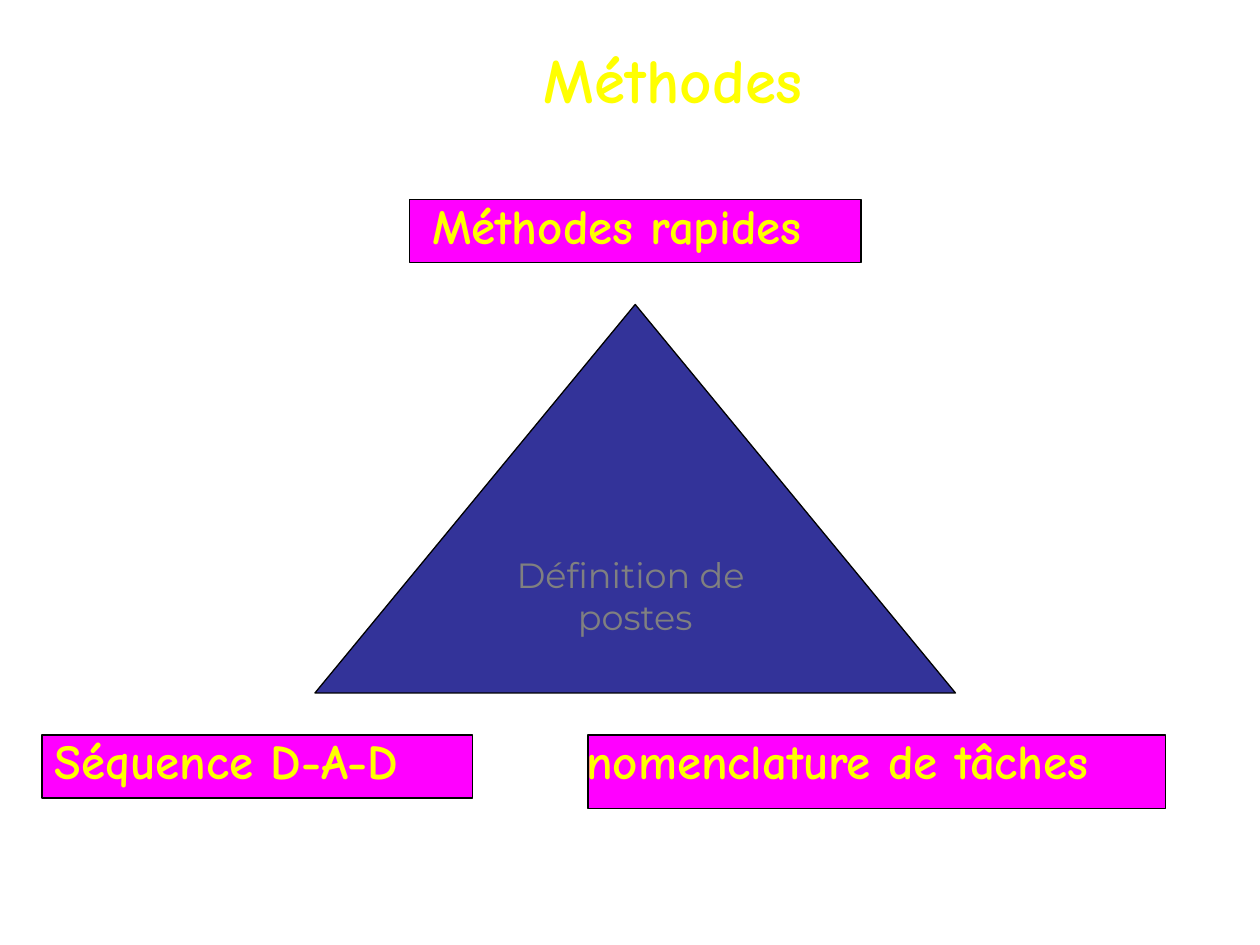
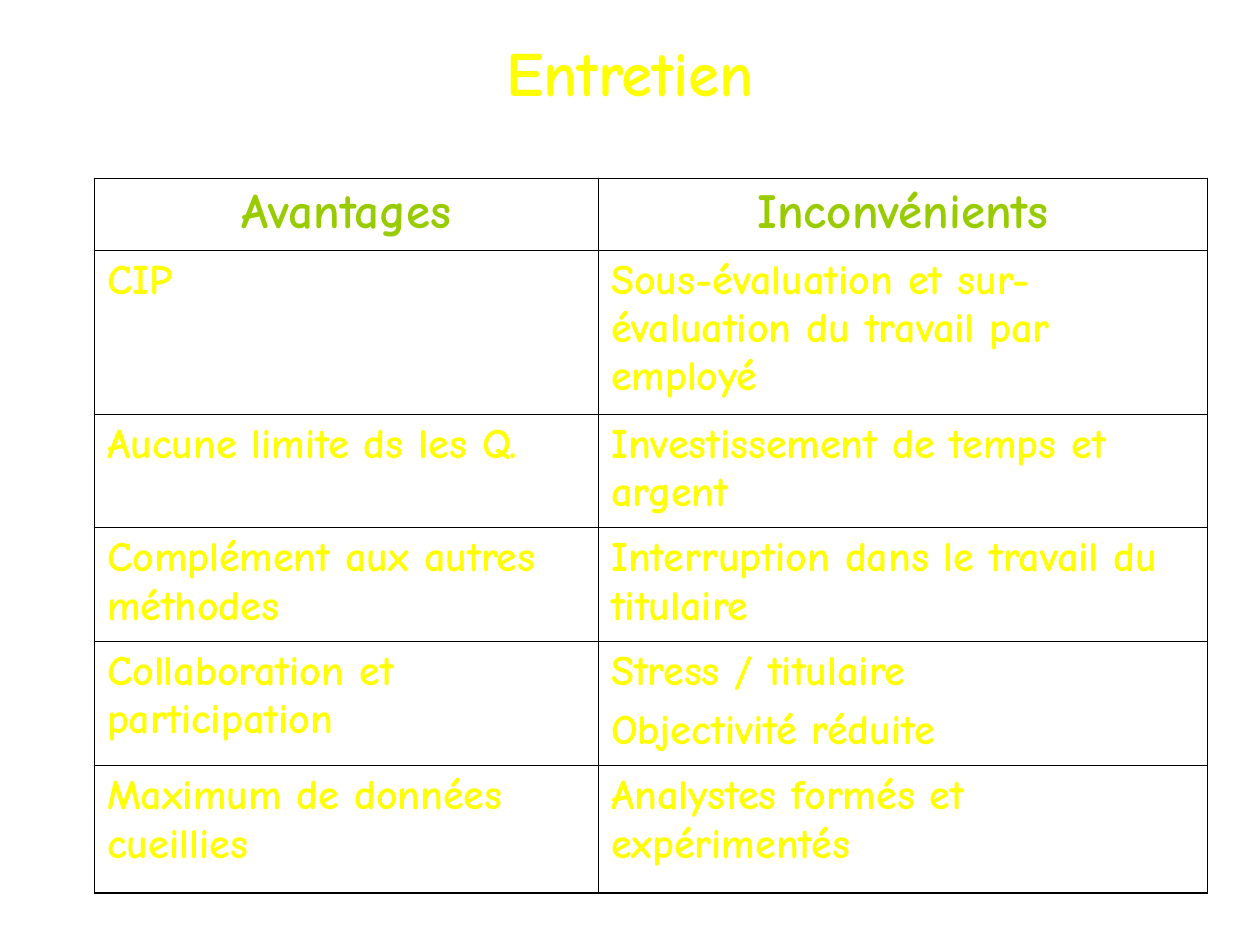
from lxml.etree import SubElement as Sub
from pptx import Presentation
from pptx.dml.color import RGBColor
from pptx.enum.shapes import MSO_SHAPE as Form
from pptx.enum.text import MSO_ANCHOR as Anchor, MSO_AUTO_SIZE as Fit, PP_ALIGN as Align
from pptx.oxml.ns import qn
from pptx.util import Pt

HAND, SANS = "Comic Neue", "Montserrat"
YELLOW, LIME, PINK, BLUE = "FFFF00", "99CC00", "FF00FF", "333399"
GREY, BLACK = "808080", "000000"
OUTER, INNER = 1.08, 0.45


def color(code):
    return RGBColor.from_string(code)


def edge(cell, width, place, tag):
    """Draw one side of a cell; place keeps the sides in schema order."""
    props = cell._tc.get_or_add_tcPr()
    line = Sub(props, qn(tag), w=str(Pt(width)))
    fill = Sub(line, qn("a:solidFill"))
    Sub(fill, qn("a:srgbClr"), val=BLACK)
    props.insert(place, line)


class Deck:
    def __init__(self):
        self.prs = Presentation()
        self.prs.slide_width, self.prs.slide_height = Pt(720), Pt(540)
        self.slide = None

    def page(self, title, box, anchor):
        self.slide = self.prs.slides.add_slide(self.prs.slide_layouts[5])
        head = self.slide.shapes.title
        head.left, head.top, head.width, head.height = map(Pt, box)
        self.text(head.text_frame, [title], 36, align=Align.CENTER)
        head.text_frame.vertical_anchor = anchor

    def text(self, frame, lines, size, ink=YELLOW, font=HAND, bold=True,
             align=Align.LEFT, before=0):
        for i, line in enumerate(lines):
            para = frame.add_paragraph() if i else frame.paragraphs[0]
            para.alignment = align
            para.space_before = Pt(before)
            run = para.add_run()
            run.text = line
            run.font.name, run.font.size, run.font.bold = font, Pt(size), bold
            run.font.color.rgb = color(ink)

    def shape(self, form, box, fill):
        item = self.slide.shapes.add_shape(form, *map(Pt, box))
        item.shadow.inherit = False
        item.fill.solid()
        item.fill.fore_color.rgb = color(fill)
        item.line.color.rgb = color(BLACK)
        item.line.width = Pt(0.75)
        return item

    def label(self, words, box, inset):
        frame = self.slide.shapes.add_textbox(*map(Pt, box)).text_frame
        frame.word_wrap = True
        frame.auto_size = Fit.SHAPE_TO_FIT_TEXT
        frame.margin_left = Pt(inset)
        self.text(frame, [words], 28, before=17.5)

    def table(self, left, top, widths, heights, rows):
        box = left, top, sum(widths), sum(heights)
        grid = self.slide.shapes.add_table(len(rows), len(widths), *map(Pt, box)).table
        grid.first_row = grid.horz_banding = False
        for col, width in zip(grid.columns, widths):
            col.width = Pt(width)
        for row, height in zip(grid.rows, heights):
            row.height = Pt(height)
        for r, row in enumerate(rows):
            for c, words in enumerate(row):
                cell = grid.cell(r, c)
                cell.fill.background()
                rims = (("a:lnL", c == 0), ("a:lnR", c == len(row) - 1),
                        ("a:lnT", r == 0), ("a:lnB", r == len(rows) - 1))
                for place, (tag, rim) in enumerate(rims):
                    edge(cell, OUTER if rim else INNER, place, tag)
                lines = words.split("\n")
                if r == 0:
                    self.text(cell.text_frame, lines, 28, LIME, align=Align.CENTER, before=7)
                else:
                    self.text(cell.text_frame, lines, 24, before=6)


def methods(deck):
    deck.page("Méthodes", (78, 0, 613.5, 90), Anchor.MIDDLE)
    labels = [
        ("Méthodes rapides", (234, 114, 258, 36), (240, 108, 264, 41), 7.2),
        ("Séquence D-A-D", (24, 420, 246, 36), (24, 414, 252, 41), 7.2),
        ("nomenclature de tâches", (336, 420, 330, 42), (318, 414, 366, 41), 17),
    ]
    for words, band, box, inset in labels:
        deck.shape(Form.RECTANGLE, band, PINK)
        deck.label(words, box, inset)
    frame = deck.shape(Form.ISOSCELES_TRIANGLE, (180, 174, 366, 222), BLUE).text_frame
    frame.word_wrap = False
    frame.vertical_anchor = Anchor.MIDDLE
    deck.text(frame, ["Définition de ", "postes"], 20, GREY, SANS, False, Align.CENTER)


def interview(deck):
    deck.page("Entretien", (0, -24, 720, 90), Anchor.BOTTOM)
    rows = [
        ("Avantages", "Inconvénients"),
        ("CIP", "Sous-évaluation et sur-évaluation du travail par employé"),
        ("Aucune limite ds les Q.", "Investissement de temps et argent"),
        ("Complément aux autres méthodes", "Interruption dans le travail du titulaire"),
        ("Collaboration et participation", "Stress / titulaire\nObjectivité réduite"),
        ("Maximum de données cueillies", "Analystes formés et expérimentés"),
    ]
    deck.table(54, 102, (288, 348), (41, 93.6, 65, 65, 71, 72.6), rows)


def main():
    deck = Deck()
    methods(deck)
    interview(deck)
    deck.prs.save("out.pptx")


if __name__ == "__main__":
    main()
